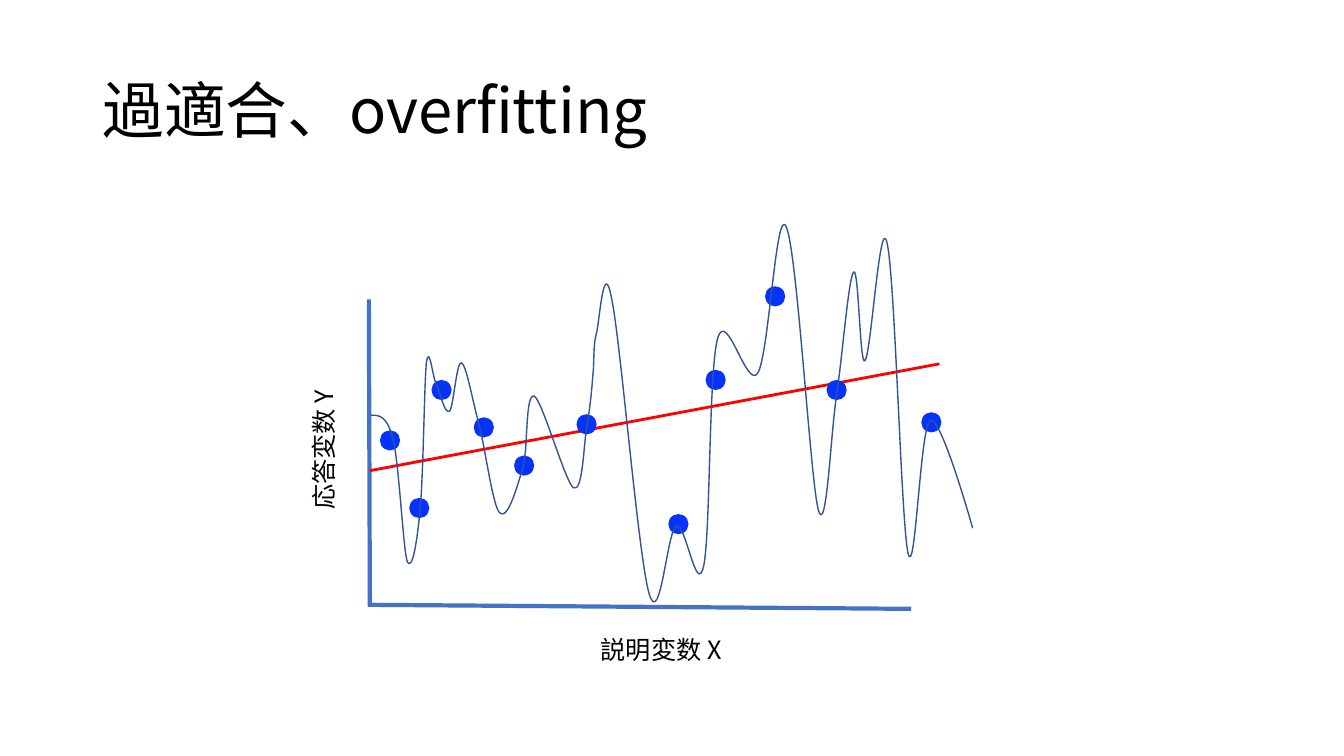
from lxml import etree
from pptx import Presentation
from pptx.dml.color import RGBColor
from pptx.enum import shapes, text
from pptx.oxml import ns
from pptx.util import Pt

FONT = "Noto Sans CJK JP"
AXES = [(263.5, 213.8, 264.2, 433.4), (650.9, 434.9, 262.8, 432)]
TREND = (264.2, 336.2, 671, 259.9)
DOT_SIZE = 14.4
DATA = [(278.6, 314.6), (299.5, 362.9), (315.4, 278.6), (345.6, 305.3),
        (374.4, 332.6), (419, 303.1), (484.6, 374.4), (511.2, 271.4),
        (553.7, 211.7), (597.6, 278.6), (665.3, 301.7)]
CURVE_START = (265, 296.6)
CURVE = [
    [(270.7, 296.6), (276.5, 296.6), (280.8, 313.9)],
    [(285.1, 331.2), (288, 392.4), (290.9, 401)],
    [(294.5, 409), (298.1, 386.6), (300.2, 362.9)],
    [(302.4, 339.8), (303.1, 273.6), (304.6, 259.2)],
    [(306.7, 244.8), (308.9, 269.3), (311.8, 275)],
    [(314.6, 280.8), (317.5, 295.9), (321.1, 293.8)],
    [(324, 290.9), (326.2, 257), (329.8, 259.2)],
    [(333.4, 261.4), (337.7, 287.3), (342.7, 305.3)],
    [(347, 322.6), (352.1, 362.2), (357.1, 366.5)],
    [(362.9, 371.5), (369.4, 347.8), (373.7, 333.4)],
    [(377.3, 319.7), (375.1, 280.8), (381.6, 283)],
    [(387.4, 285.8), (403.9, 344.9), (409.7, 348.5)],
    [(416.2, 352.1), (416.9, 319), (419, 306)],
    [(421.2, 293), (422.6, 280.8), (423.4, 269.3)],
    [(424.8, 257.8), (423.4, 247), (426.2, 237.6)],
    [(428.4, 228.2), (431.3, 182.2), (437, 213.8)],
    [(443.5, 244.8), (455.8, 396.7), (463.7, 424.1)],
    [(471.6, 450.7), (476.6, 378.7), (483.1, 375.8)],
    [(489.6, 372.2), (497.5, 427), (502.6, 404.6)],
    [(507.6, 382.3), (506.2, 265), (512.6, 241.9)],
    [(519.1, 218.9), (533.5, 279.4), (541.4, 266.4)],
    [(549.4, 252.7), (554.4, 145.4), (561.6, 162)],
    [(569.5, 178.6), (578.9, 344.2), (584.6, 364.3)],
    [(590.4, 384.5), (593.3, 310.3), (597.6, 282.2)],
    [(601.9, 253.4), (606.2, 198), (609.8, 194.4)],
    [(613.4, 190.1), (614.2, 261.4), (617.8, 257.8)],
    [(622.1, 254.9), (628.6, 150.5), (633.6, 173.5)],
    [(639.4, 196.6), (643.7, 374.4), (648.7, 395.3)],
    [(653.8, 416.2), (657.4, 303.1), (664.6, 300.2)],
    [(672.5, 297.4), (694.8, 377.3), (694.8, 377.3)],
]


def rgb(color):
    """Turn a hex string into a colour."""
    return RGBColor.from_string(color)


def style_line(shape, color, width):
    """Give a shape or connector a solid line."""
    shape.line.color.rgb = rgb(color)
    shape.line.width = Pt(width)


def style_text(p, size):
    """Set font, size and colour on every run of a paragraph."""
    for r in p.runs:
        r.font.name = FONT
        r.font.size = Pt(size)
        r.font.color.rgb = rgb("000000")
        ea = etree.SubElement(r.font._element, ns.qn("a:ea"))
        ea.set("typeface", FONT)


def add_title(s, title):
    """Fill and place the title placeholder."""
    sp = s.shapes.title
    sp.left, sp.top, sp.width, sp.height = Pt(66), Pt(29), Pt(828), Pt(104.4)
    tf = sp.text_frame
    tf.text = title
    tf.vertical_anchor = text.MSO_ANCHOR.MIDDLE
    p = tf.paragraphs[0]
    p.alignment = text.PP_ALIGN.LEFT
    p.line_spacing = 0.9
    style_text(p, 44)


def add_line(s, ends, color, width):
    """Draw a straight line without a shadow."""
    sp = s.shapes.add_connector(shapes.MSO_CONNECTOR.STRAIGHT, *map(Pt, ends))
    style_line(sp, color, width)
    etree.SubElement(sp._element.spPr, ns.qn("a:effectLst"))


def add_dot(s, x, y):
    """Draw one data point centred on x, y."""
    sp = s.shapes.add_shape(shapes.MSO_SHAPE.OVAL, Pt(x - DOT_SIZE / 2),
                            Pt(y - DOT_SIZE / 2), Pt(DOT_SIZE), Pt(DOT_SIZE))
    sp.shadow.inherit = False
    sp.fill.solid()
    sp.fill.fore_color.rgb = rgb("0432FF")
    sp.line.fill.background()


def add_curve(s, start, segments, color, width):
    """Draw an open outline of cubic Bezier segments."""
    builder = s.shapes.build_freeform(*map(Pt, start))
    builder.add_line_segments([tuple(map(Pt, seg[-1])) for seg in segments], close=False)
    sp = builder.convert_to_shape()
    sp.shadow.inherit = False
    sp.fill.background()
    style_line(sp, color, width)
    for step, seg in zip(list(sp._element.iter(ns.qn("a:lnTo"))), segments):
        bezier = etree.Element(ns.qn("a:cubicBezTo"))
        for x, y in seg:
            pt = etree.SubElement(bezier, ns.qn("a:pt"))
            pt.set("x", str(Pt(x) - sp.left))
            pt.set("y", str(Pt(y) - sp.top))
        step.getparent().replace(step, bezier)


def add_label(s, label, left, top, rotation=0):
    """Add an axis label."""
    sp = s.shapes.add_textbox(Pt(left), Pt(top), Pt(104.4), Pt(29))
    sp.rotation = rotation
    tf = sp.text_frame
    tf.text = label
    tf.word_wrap = False
    tf.auto_size = text.MSO_AUTO_SIZE.SHAPE_TO_FIT_TEXT
    style_text(tf.paragraphs[0], 18)


def main():
    """Build the overfitting slide."""
    prs = Presentation()
    prs.slide_width, prs.slide_height = Pt(960), Pt(540)
    s = prs.slides.add_slide(prs.slide_layouts[5])
    add_title(s, "過適合、overfitting")
    for axis in AXES:
        add_line(s, axis, "4472C4", 3)
    add_line(s, TREND, "FF0000", 2)
    for x, y in DATA:
        add_dot(s, x, y)
    add_curve(s, CURVE_START, CURVE, "325491", 1)
    add_label(s, "説明変数 X", 422, 449.3)
    add_label(s, "応答変数 Y", 179.3, 304.6, 270)
    prs.save("out.pptx")


main()
